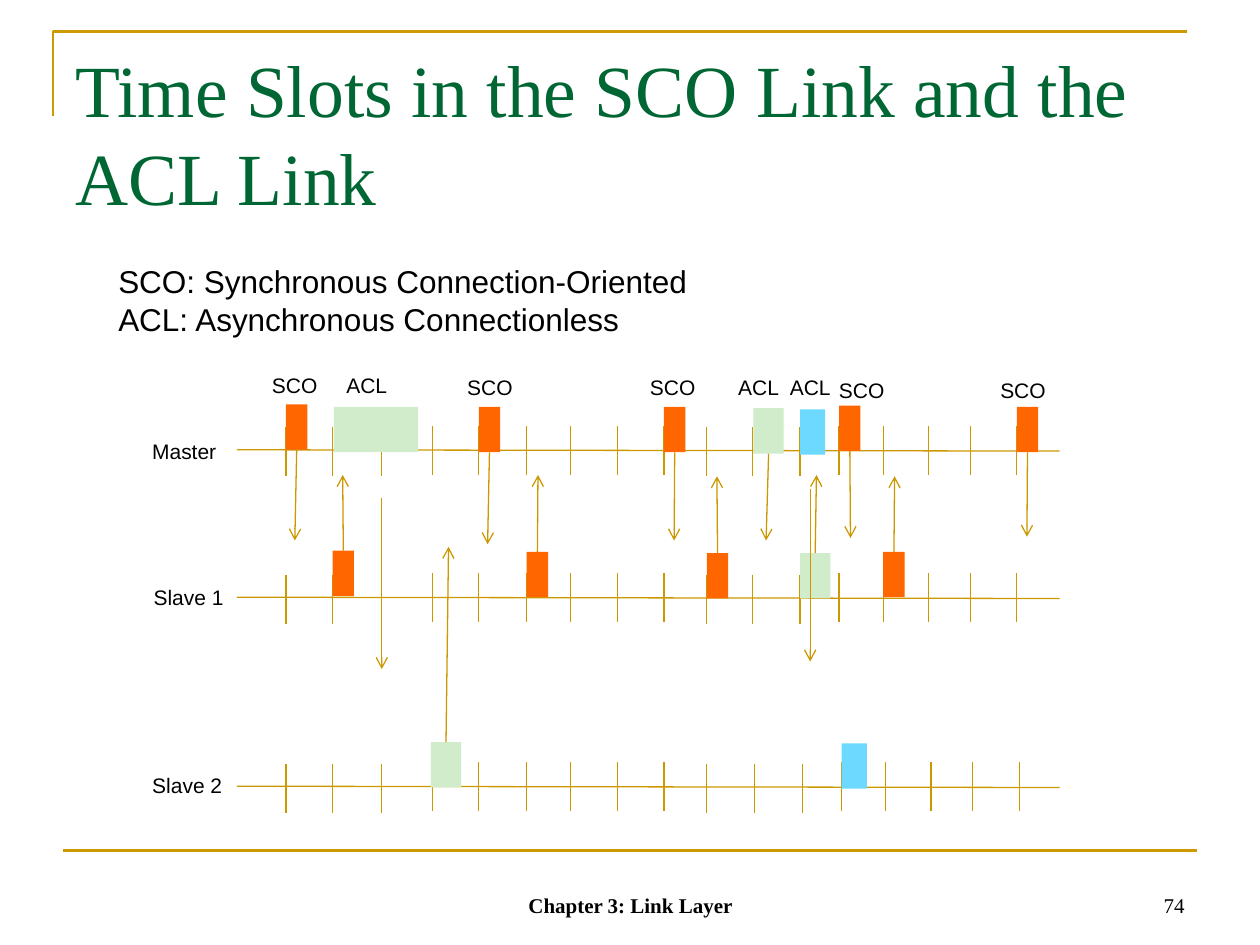
from lxml import etree
from pptx import Presentation, util as u
from pptx.dml.color import RGBColor
from pptx.enum import shapes, text
from pptx.oxml.ns import qn

PX = 9144  # EMU per px, 100 px to the inch

GOLD, FRAME_GOLD, GREEN, BLACK = "CC9800", "CC9900", "006633", "000000"
ORANGE, MINT, SKY = "FF6600", "D0ECCB", "6DD9FF"
SERIF, SANS = "Times New Roman", "Arial"
TOP, BOTTOM = 0, 2  # connection sites of a rectangle

TITLE = "Time Slots in the SCO Link and the ACL Link"
LEGEND = ["SCO: Synchronous Connection-Oriented", "ACL: Asynchronous Connectionless"]
FOOTER, PAGE_NUMBER = "Chapter 3: Link Layer", "74"

# Slot borders; the last ones sit slightly further right on some timelines
SLOTS = [227, 264, 303, 343, 380, 418, 453, 490, 527,
         561, 597, 635, 666, 701, 737, 770, 807]
SHIFT_FROM = 10
TICK_HEIGHT, BLOCK_HEIGHT = 39, 36

# Label, label left, label top, axis y, shift of the last slots
TIMELINES = [("Master", 111, 343, 357, 0),
             ("Slave 1", 112, 459, 474, 0),
             ("Slave 2", 111, 608, 624, 2)]

# Left, top, width, colour, side the arrow leaves from, arrow tip
BLOCKS = [
    (227, 321, 17, ORANGE, BOTTOM, (234, 429)),
    (265, 323, 67, MINT, None, None),
    (635, 325, 20, SKY, None, None),
    (264, 437, 17, ORANGE, TOP, (272, 377)),
    (380, 323, 17, ORANGE, BOTTOM, (387, 432)),
    (527, 323, 17, ORANGE, BOTTOM, (535, 429)),
    (666, 322, 17, ORANGE, BOTTOM, (675, 427)),
    (807, 323, 17, ORANGE, BOTTOM, (815, 426)),
    (701, 438, 17, ORANGE, TOP, (710, 378)),
    (561, 439, 17, ORANGE, TOP, (569, 378)),
    (418, 438, 17, ORANGE, TOP, (427, 377)),
    (342, 589, 24, MINT, TOP, (356, 434)),
    (668, 590, 20, SKY, None, None),
    (635, 439, 24, MINT, TOP, (648, 377)),
    (598, 324, 24, MINT, BOTTOM, (608, 429)),
]
# Master to slave 2: x, start, tip
LONG_ARROWS = [(303, 395, 531), (643, 388, 525)]

# Text, left, top
BLOCK_LABELS = [("SCO", 206, 291), ("ACL", 265, 291), ("SCO", 361, 292),
                ("SCO", 506, 292), ("ACL", 576, 292), ("SCO", 656, 295),
                ("ACL", 617, 292), ("SCO", 784, 295)]
LABEL_WIDTHS = {"SCO": 58, "ACL": 55, "Master": 73, "Slave 1": 78, "Slave 2": 78}


def px(value):
    return u.Emu(int(value * PX))


def rgb(value):
    return RGBColor.from_string(value)


def add_line(page, x1, y1, x2, y2, color=GOLD, width=0.75, arrow=False):
    line = page.shapes.add_connector(
        shapes.MSO_CONNECTOR.STRAIGHT, px(x1), px(y1), px(x2), px(y2))
    line.line.color.rgb = rgb(color)
    line.line.width = u.Pt(width)
    if arrow:
        etree.SubElement(line.line._get_or_add_ln(), qn("a:tailEnd"), type="arrow")
    etree.SubElement(line._element.spPr, qn("a:effectLst"))
    return line


def add_text(page, lines, left, top, width, height, size, font=SANS, color=BLACK,
             bold=False, align=text.PP_ALIGN.LEFT, anchor=text.MSO_ANCHOR.TOP,
             wrap=False):
    box = page.shapes.add_textbox(px(left), px(top), px(width), px(height))
    frame = box.text_frame
    frame.word_wrap = wrap
    frame.auto_size = (text.MSO_AUTO_SIZE.NONE if wrap
                       else text.MSO_AUTO_SIZE.SHAPE_TO_FIT_TEXT)
    frame.vertical_anchor = anchor
    for index, line in enumerate(lines):
        para = frame.add_paragraph() if index else frame.paragraphs[0]
        para.alignment = align
        span = para.add_run()
        span.text = line
        span.font.name = font
        span.font.size = u.Pt(size)
        span.font.bold = bold
        span.font.color.rgb = rgb(color)


def add_frame(page):
    builder = page.shapes.build_freeform(42, 92, scale=PX)
    builder.add_line_segments([(42, 25), (942, 25)], close=False)
    corner = builder.convert_to_shape()
    corner.shadow.inherit = False
    corner.fill.background()
    corner.line.color.rgb = rgb(FRAME_GOLD)
    corner.line.width = u.Pt(1.5)
    add_line(page, 50, 675, 950, 675, FRAME_GOLD, 1.5)


def add_timeline(page, label, left, top, axis, shift):
    add_line(page, 188, axis, 841, axis + 1)
    for index, slot in enumerate(SLOTS):
        x = slot + (shift if index >= SHIFT_FROM else 0)
        start = axis - (18 if index < 3 or 9 <= index < 12 else 19)
        add_line(page, x, start, x, start + TICK_HEIGHT)
    add_text(page, [label], left, top, LABEL_WIDTHS[label], 30, 12)


def add_block(page, left, top, width, color):
    block = page.shapes.add_shape(shapes.MSO_SHAPE.RECTANGLE, px(left), px(top),
                                  px(width), px(BLOCK_HEIGHT))
    block.shadow.inherit = False
    block.fill.solid()
    block.fill.fore_color.rgb = rgb(color)
    block.line.fill.background()
    return block


def main():
    deck = Presentation()
    deck.slide_width, deck.slide_height = px(1000), px(750)
    page = deck.slides.add_slide(deck.slide_layouts[6])

    # Frame, title and footer
    add_frame(page)
    add_text(page, [TITLE], 50, 30, 900, 125, 42, SERIF, GREEN, wrap=True)
    add_text(page, [PAGE_NUMBER], 717, 683, 233, 50, 12, SERIF, wrap=True,
             align=text.PP_ALIGN.RIGHT, anchor=text.MSO_ANCHOR.BOTTOM)
    add_text(page, [FOOTER], 342, 683, 317, 50, 12, SERIF, bold=True, wrap=True,
             align=text.PP_ALIGN.CENTER, anchor=text.MSO_ANCHOR.BOTTOM)
    add_text(page, LEGEND, 84, 203, 475, 70, 18)

    # Timelines, then the packets on them
    for timeline in TIMELINES:
        add_timeline(page, *timeline)
    blocks = [add_block(page, *spec[:4]) for spec in BLOCKS]
    for label, left, top in BLOCK_LABELS:
        add_text(page, [label], left, top, LABEL_WIDTHS[label], 30, 12)

    # Arrows between the timelines
    for block, (left, top, *_, side, tip) in zip(blocks, BLOCKS):
        if tip:
            arrow = add_line(page, left, top, *tip, arrow=True)
            arrow.begin_connect(block, side)
    for x, start, tip in LONG_ARROWS:
        add_line(page, x, start, x, tip, arrow=True)

    deck.save("out.pptx")


if __name__ == "__main__":
    main()
